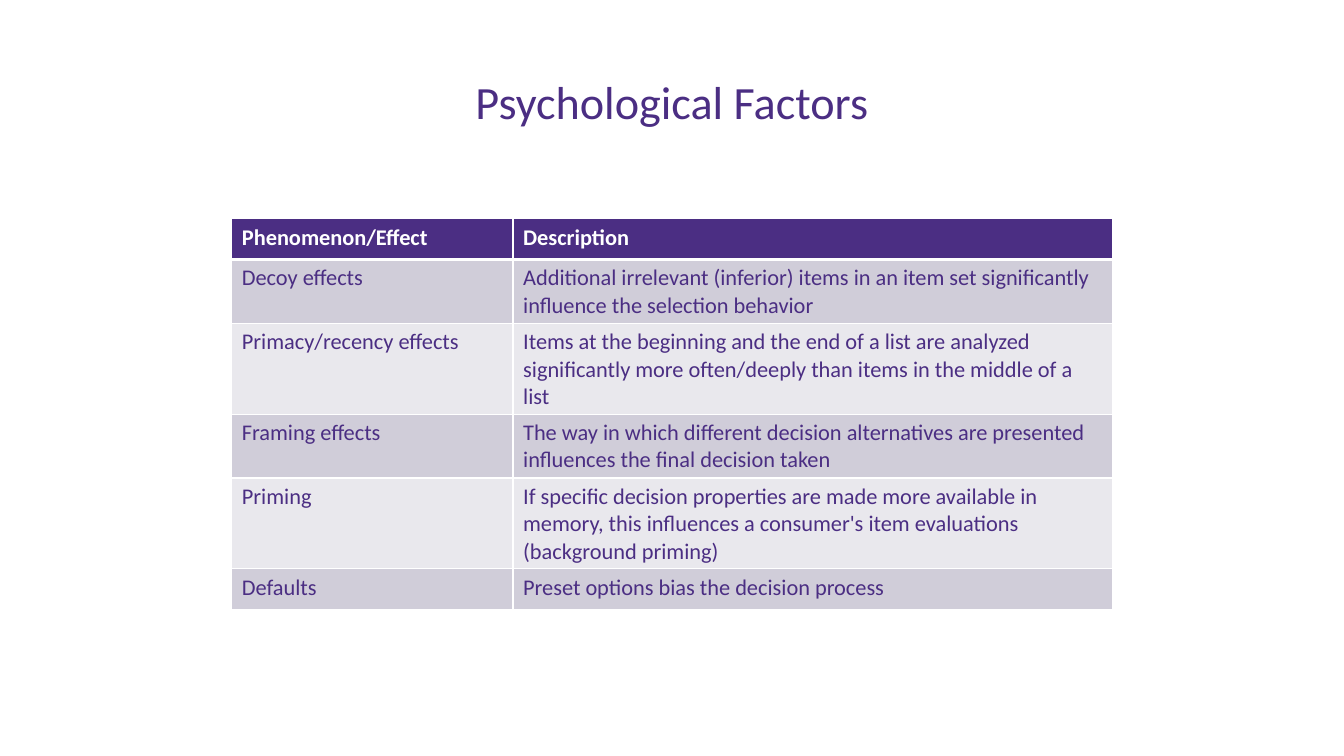
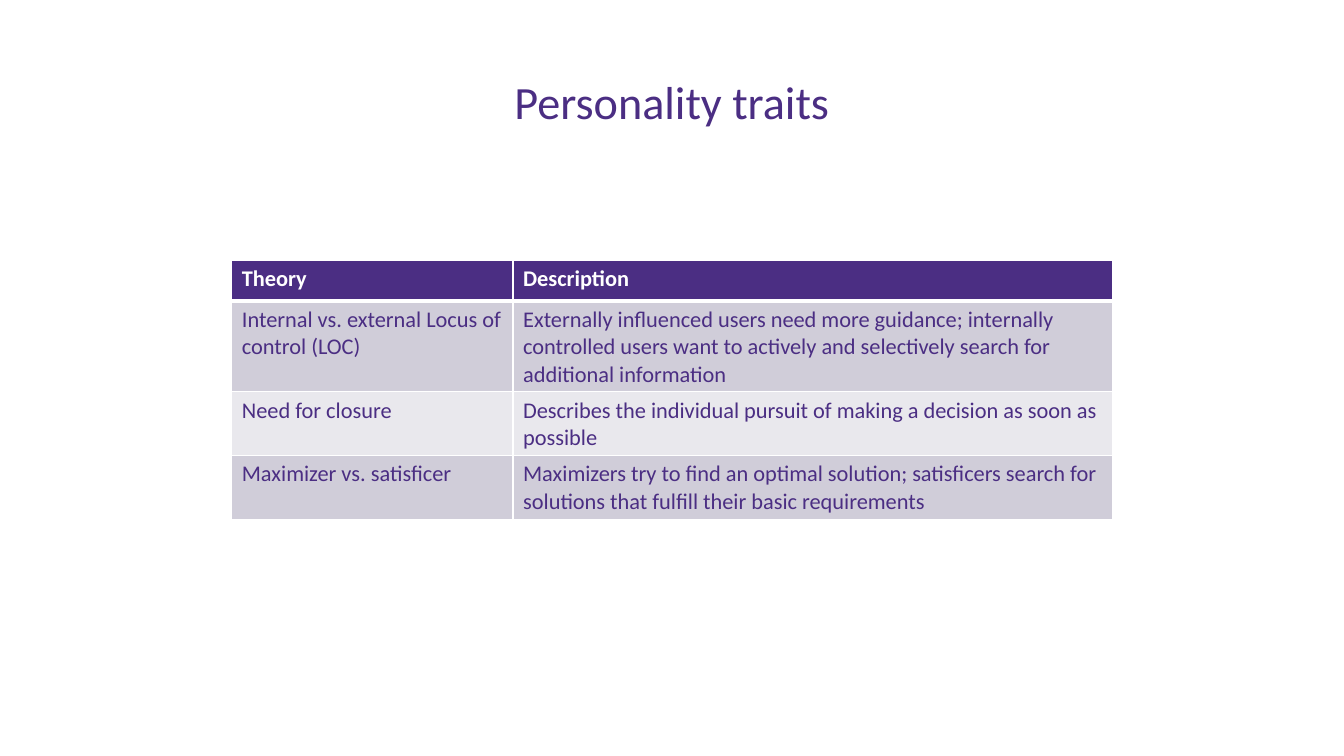
from lxml import etree
from pptx import Presentation
from pptx.dml.color import RGBColor
from pptx.enum.text import MSO_ANCHOR, PP_ALIGN
from pptx.oxml.ns import qn
from pptx.util import Pt

MIDDLE, CENTER = MSO_ANCHOR.MIDDLE, PP_ALIGN.CENTER

PURPLE = RGBColor(0x4B, 0x2E, 0x83)
WHITE = RGBColor(0xFF, 0xFF, 0xFF)
BAND_DARK = RGBColor(0xD0, 0xCD, 0xD9)
BAND_LIGHT = RGBColor(0xE9, 0xE8, 0xED)

SLIDE_SIZE = (960, 540)
TITLE_BOX = (66, 28.8, 828, 86.4)
TABLE_LEFT = 165.6
COLUMN_WIDTHS = (200.9, 428.4)
ROW_HEIGHTS = {1: 29.2, 2: 45.4, 3: 64.8}  # by number of text lines
THIN, THICK = 1, 3

TITLE_FONT = {"name": "Calibri", "size": Pt(33), "bold": False}
HEADER_FONT = {"name": "Calibri", "size": Pt(16), "bold": True}
BODY_FONT = {**HEADER_FONT, "bold": False}

# Each row: first column, description, number of text lines
FACTORS = [
    ("Phenomenon/Effect", "Description", 1),
    ("Decoy effects", "Additional irrelevant (inferior) items in an item set "
     "significantly influence the selection behavior", 2),
    ("Primacy/recency effects", "Items at the beginning and the end of a list are "
     "analyzed significantly more often/deeply than items in the middle of a list", 3),
    ("Framing effects", "The way in which different decision alternatives are "
     "presented influences the final decision taken", 2),
    ("Priming", "If specific decision properties are made more available in memory, "
     "this influences a consumer's item evaluations (background priming)", 3),
    ("Defaults", "Preset options bias the decision process", 1),
]
TRAITS = [
    ("Theory", "Description", 1),
    ("Internal vs. external Locus of control (LOC)", "Externally influenced users "
     "need more guidance; internally controlled users want to actively and "
     "selectively search for additional information", 3),
    ("Need for closure", "Describes the individual pursuit of making a decision "
     "as soon as possible", 2),
    ("Maximizer vs. satisficer", "Maximizers try to find an optimal solution; "
     "satisficers search for solutions that fulfill their basic requirements", 2),
]
SLIDES = [
    ("Psychological Factors", FACTORS, 156.2),
    ("Personality traits", TRAITS, 185.8),
]


def write(paragraph, text, font_values, color):
    run = paragraph.add_run()
    run.text = text
    for attribute, value in font_values.items():
        setattr(run.font, attribute, value)
    run.font.color.rgb = color


def add_title(slide, text, box):
    frame = slide.shapes.add_textbox(*map(Pt, box)).text_frame
    frame.word_wrap = True
    frame.vertical_anchor = MIDDLE
    frame.paragraphs[0].alignment = CENTER
    write(frame.paragraphs[0], text, TITLE_FONT, PURPLE)


def set_borders(cell, top, bottom):
    properties = cell._tc.get_or_add_tcPr()
    for side, width in {"L": THIN, "R": THIN, "T": top, "B": bottom}.items():
        line = etree.SubElement(properties, qn(f"a:ln{side}"), w=str(Pt(width)))
        fill = etree.SubElement(line, qn("a:solidFill"))
        etree.SubElement(fill, qn("a:srgbClr"), val=str(WHITE))


def add_banded_table(slide, rows, left, top):
    heights = [ROW_HEIGHTS[lines] for *_, lines in rows]
    table = slide.shapes.add_table(
        len(rows), len(COLUMN_WIDTHS), Pt(left), Pt(top),
        Pt(sum(COLUMN_WIDTHS)), Pt(sum(heights))).table
    for column, width in zip(table.columns, COLUMN_WIDTHS):
        column.width = Pt(width)

    for index, (*texts, _) in enumerate(rows):
        table.rows[index].height = Pt(heights[index])
        # Header row, then alternating bands
        if index == 0:
            font, color, fill = HEADER_FONT, WHITE, PURPLE
        else:
            font, color = BODY_FONT, PURPLE
            fill = BAND_DARK if index % 2 else BAND_LIGHT
        for cell, text in zip(table.rows[index].cells, texts):
            # The rule under the header is shared with the first body row
            set_borders(cell, top=THICK if index == 1 else THIN,
                        bottom=THICK if index == 0 else THIN)
            cell.fill.solid()
            cell.fill.fore_color.rgb = fill
            write(cell.text_frame.paragraphs[0], text, font, color)


def add_table_slide(deck, title, rows, table_top):
    slide = deck.slides.add_slide(deck.slide_layouts[6])
    add_title(slide, title, TITLE_BOX)
    add_banded_table(slide, rows, TABLE_LEFT, table_top)


def main():
    deck = Presentation()
    deck.slide_width, deck.slide_height = map(Pt, SLIDE_SIZE)
    for title, rows, table_top in SLIDES:
        add_table_slide(deck, title, rows, table_top)
    deck.save("out.pptx")


if __name__ == "__main__":
    main()
